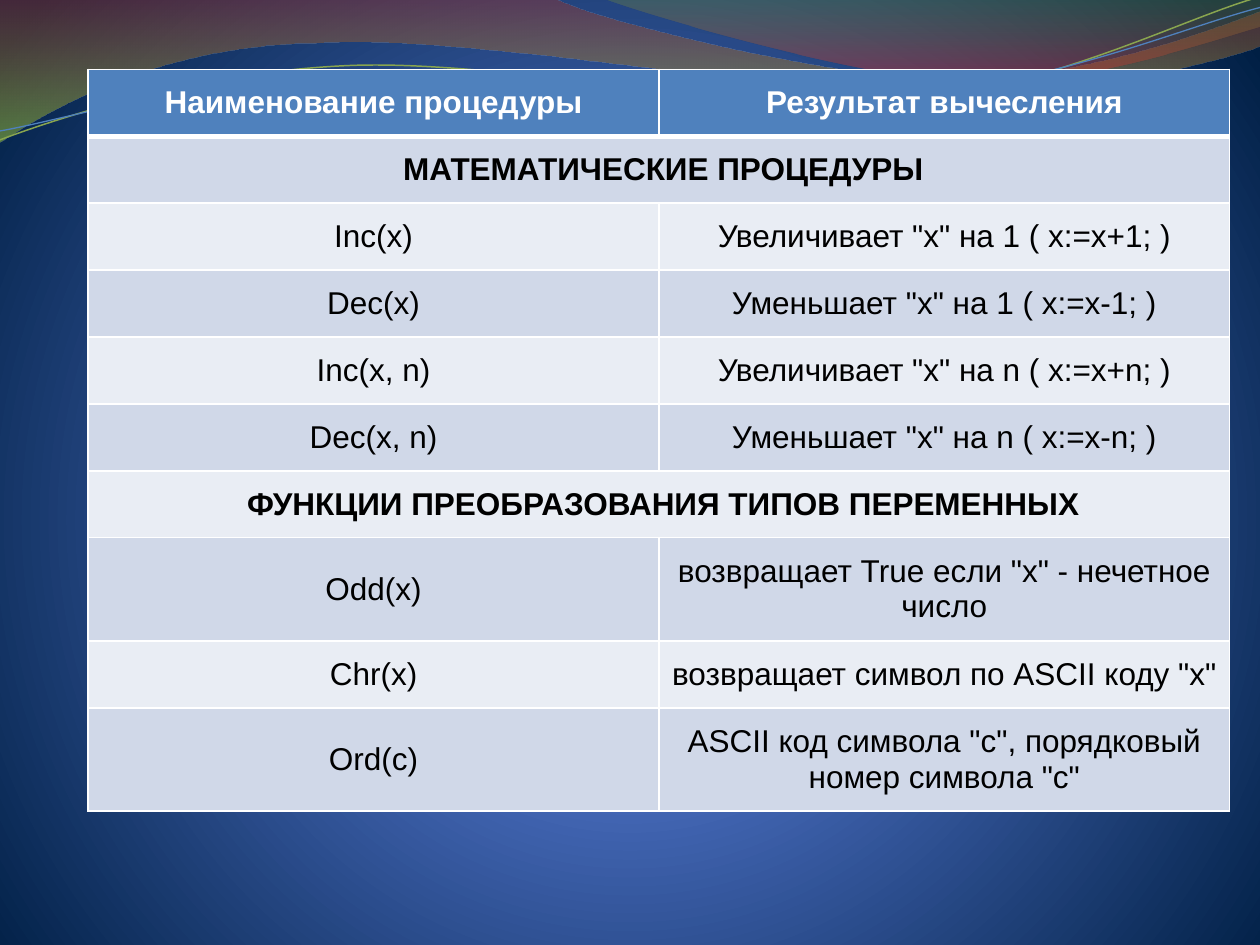
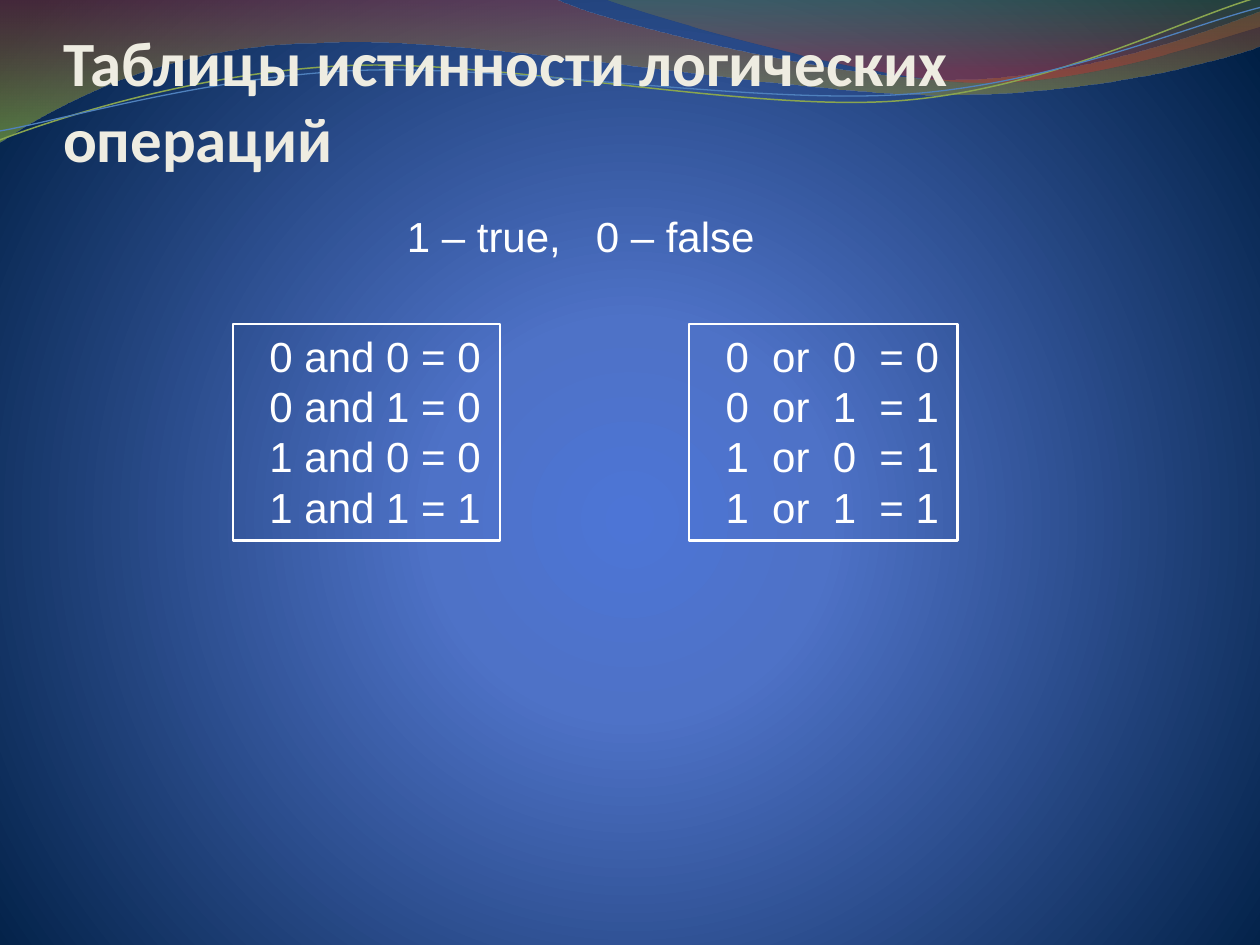
from dataclasses import dataclass
from math import cos, radians, sin

from lxml.etree import SubElement
from pptx import Presentation
from pptx.dml.color import RGBColor
from pptx.enum.shapes import MSO_SHAPE
from pptx.enum.text import MSO_ANCHOR, MSO_AUTO_SIZE, PP_ALIGN
from pptx.oxml import parse_xml
from pptx.oxml.ns import nsdecls, qn
from pptx.util import Inches, Pt


@dataclass(frozen=True)
class Theme:
    white: str = "FFFFFF"
    black: str = "000000"
    title: str = "EEECE1"
    blue: str = "4F81BD"
    green: str = "89A54F"
    bands: tuple = ("E9EDF4", "D0D8E8")
    body_font: str = "Arial"
    title_font: str = "Calibri"
    title_size: int = 36
    body_size: int = 24
    table_size: int = 18


theme = Theme()
rgb = RGBColor.from_string


def paint_gradient(fill, element, stops, direction):
    """Fill with (position %, colour, opacity %) stops and a direction element."""
    fill.solid()
    solid = element.xpath(".//p:bgPr/a:solidFill | .//p:spPr/a:solidFill")[0]
    marks = ""
    for position, color, opacity in stops:
        alpha = f'<a:alpha val="{opacity * 1000}"/>' if opacity < 100 else ""
        marks += f'<a:gs pos="{position * 1000}"><a:srgbClr val="{color}">{alpha}</a:srgbClr></a:gs>'
    solid.getparent().replace(solid, parse_xml(
        f'<a:gradFill {nsdecls("a")} rotWithShape="1"><a:gsLst>{marks}</a:gsLst>{direction}</a:gradFill>'
    ))


def bend(shape, segments):
    """Join the corners of each six-number segment into one cubic curve."""
    corners = iter(shape.element.xpath(".//a:lnTo"))
    for segment in segments:
        first = next(corners)
        if len(segment) == 6:
            first.tag = qn("a:cubicBezTo")
            for _ in range(2):
                corner = next(corners)
                first.append(corner[0])
                corner.getparent().remove(corner)


# Deck: ten columns wide, square grid cells
deck = Presentation()
deck.slide_width, deck.slide_height = Inches(10), Inches(7.5)
unit = deck.slide_width // 10
master = deck.slide_master
table_page = deck.slides.add_slide(deck.slide_layouts[6])
logic_page = deck.slides.add_slide(deck.slide_layouts[5])

# Shared background
paint_gradient(
    master.background.fill, master.element,
    [(0, "4D75D6", 100), (25, "4E72C7", 100), (100, "001F44", 100)],
    '<a:path path="circle"><a:fillToRect l="10000" t="110000" r="10000" b="100000"/></a:path>',
)

# Shared waves: start, segments, gradient stops, or line colour, width and turning centre
tilt = -2.7
waves = [
    ((0, -0.01), [
        (4.4, -0.01), (4.76, 0.17, 6.64, 0.63, 7.58, 0.63), (8.53, 0.63, 9.58, 0.26, 10, 0.09),
        (10.01, 0.36), (9.83, 0.44, 8.7, 0.76, 7.46, 0.75), (6.22, 0.75, 3.82, 0.28, 2.57, 0.34),
        (1.29, 0.35, 0.46, 0.83, -0.01, 1.13), (0, -0.01),
    ], [(0, "973330", 45), (100, "95C238", 55)], None),
    ((4.79, -0.01), [
        (5.09, 0.11, 6.82, 0.62, 7.69, 0.65), (8.56, 0.69, 9.61, 0.32, 10, 0.21), (10, 0),
        (4.79, -0.01),
    ], [(0, "769537", 30), (80, "BE3330", 45)], None),
    ((0, 1.11), [
        (0.48, 0.93, 1.58, 0.57, 2.77, 0.52), (3.95, 0.47, 5.93, 0.89, 7.13, 0.8),
        (8.33, 0.71, 9.38, 0.15, 9.98, -0.02),
    ], None, (theme.green, 0.85, 4.99, 0.57)),
    ((0, 1.04), [
        (0.47, 0.96, 1.64, 0.61, 2.83, 0.56), (4.03, 0.51, 5.97, 0.83, 7.17, 0.75),
        (8.36, 0.67, 9.41, 0.21, 10, 0.06),
    ], None, (theme.blue, 0.75, 5, 0.59)),
]
for index, (start, segments, stops, stroke) in enumerate(waves):
    numbers = [number for segment in (start, *segments) for number in segment]
    points = list(zip(numbers[::2], numbers[1::2]))
    if stroke:
        color, width, center_x, center_y = stroke
        cosine, sine = cos(radians(-tilt)), sin(radians(-tilt))
        points = [
            (center_x + (x - center_x) * cosine - (y - center_y) * sine,
             center_y + (x - center_x) * sine + (y - center_y) * cosine)
            for x, y in points
        ]
    points = [(round(x * unit), round(y * unit)) for x, y in points]
    builder = table_page.shapes.build_freeform(*points[0])
    builder.add_line_segments(points[1:], close=stroke is None)
    wave = builder.convert_to_shape()
    bend(wave, segments)
    wave.shadow.inherit = False
    if stroke:
        wave.rotation = tilt
        wave.fill.background()
        wave.line.color.rgb = rgb(color)
        wave.line.width = Pt(width)
    else:
        paint_gradient(wave.fill, wave.element, stops, '<a:lin ang="5400000" scaled="0"/>')
        wave.line.fill.background()
    wave.element.xpath(".//p:cNvPr")[0].set("id", str(20 + index))
    master.shapes.element.insert(2 + index, wave.element)

# Slide 1: table of procedures; a row with one entry is a section heading
procedures = [
    ("Наименование процедуры", "Результат вычесления"),
    (" МАТЕМАТИЧЕСКИЕ ПРОЦЕДУРЫ",),
    ("Inc(x)", 'Увеличивает "х" на 1 ( x:=x+1; )'),
    ("Dec(x)", 'Уменьшает "х" на 1 ( x:=x-1; )'),
    ("Inc(x, n)", 'Увеличивает "х" на n ( x:=x+n; )'),
    ("Dec(x, n)", 'Уменьшает "х" на n ( x:=x-n; )'),
    (" ФУНКЦИИ ПРЕОБРАЗОВАНИЯ ТИПОВ ПЕРЕМЕННЫХ",),
    ("Odd(x)", 'возвращает True если "х" - нечетное число'),
    ("Сhr(x)", 'возвращает символ по ASCII коду "х"'),
    ("Ord(c)", 'ASCII код символа "с", порядковый номер символа "с"'),
]
tall_rows = (7, 9)
table_height, tall_height = 5.89, 0.82
row_height = (table_height - 2 * tall_height) / (len(procedures) - 2)
table = table_page.shapes.add_table(
    len(procedures), 2, int(0.7 * unit), int(0.55 * unit), int(9.06 * unit), int(table_height * unit)
).table
for column in table.columns:
    column.width = int(4.53 * unit)
for row_index, entries in enumerate(procedures):
    is_header, is_section = row_index == 0, len(entries) == 1
    table.rows[row_index].height = int((tall_height if row_index in tall_rows else row_height) * unit)
    if is_section:
        table.cell(row_index, 0).merge(table.cell(row_index, 1))
    for column_index in range(2):
        cell = table.cell(row_index, column_index)
        cell.margin_left = cell.margin_right = cell.margin_top = cell.margin_bottom = int(0.01 * unit)
        cell.vertical_anchor = MSO_ANCHOR.MIDDLE
        for side in "LRTB" if is_header else "":
            border = SubElement(
                cell._tc.get_or_add_tcPr(), qn(f"a:ln{side}"), w=str(Pt(3 if side == "B" else 1))
            )
            SubElement(SubElement(border, qn("a:solidFill")), qn("a:srgbClr"), val=theme.white)
        cell.fill.solid()
        cell.fill.fore_color.rgb = rgb(theme.blue if is_header else theme.bands[row_index % 2])
        if column_index < len(entries):
            para = cell.text_frame.paragraphs[0]
            para.text = entries[column_index]
            para.alignment = PP_ALIGN.CENTER
            para.font.name, para.font.size = theme.body_font, Pt(theme.table_size)
            para.font.bold = is_header or is_section
            para.font.color.rgb = rgb(theme.white if is_header else theme.black)

# Slide 2: title
title = logic_page.shapes.title
title.left, title.top, title.width, title.height = (int(share * unit) for share in (0.5, 0.38, 9, 1.01))
frame = title.text_frame
frame.text = "Таблицы истинности логических операций"
frame.auto_size = MSO_AUTO_SIZE.NONE
frame.vertical_anchor = MSO_ANCHOR.BOTTOM
frame.margin_left = frame.margin_right = frame.margin_bottom = 0
frame.margin_top = int(0.05 * unit)
para = frame.paragraphs[0]
para.alignment = PP_ALIGN.LEFT
para.font.name, para.font.size, para.font.bold = theme.title_font, Pt(theme.title_size), True
para.font.color.rgb = rgb(theme.title)

# Slide 2: truth tables and the legend above them
truth_tables = [
    (1.85, 2.12, ["0 and 0 = 0", "0 and 1 = 0", "1 and 0 = 0", "1 and 1 = 1"]),
    (5.47, 2.13, ["0  or  0  = 0", "0  or  1  = 1", "1  or  0  = 1", "1  or  1  = 1"]),
]
text_blocks = []
for left, width, lines in truth_tables:
    box = logic_page.shapes.add_shape(
        MSO_SHAPE.RECTANGLE, int(left * unit), int(2.57 * unit), int(width * unit), int(1.72 * unit)
    )
    box.shadow.inherit = False
    box.fill.background()
    box.line.color.rgb = rgb(theme.white)
    box.line.width = Pt(1.25)
    text_blocks.append((box, lines, PP_ALIGN.LEFT, 0.19))
legend = logic_page.shapes.add_textbox(
    int(2.56 * unit), int(1.62 * unit), int(4.1 * unit), int(0.51 * unit)
)
text_blocks.append((legend, ["1 – true,   0 – false"], PP_ALIGN.CENTER, 0))

for box, lines, alignment, indent in text_blocks:
    frame = box.text_frame
    frame.text = "\n".join(lines)
    frame.word_wrap = True
    frame.auto_size = MSO_AUTO_SIZE.SHAPE_TO_FIT_TEXT
    frame.vertical_anchor = MSO_ANCHOR.TOP
    for para in frame.paragraphs:
        para.alignment = alignment
        para._p.get_or_add_pPr().set("marL", str(int(indent * unit)))
        para.font.name, para.font.size = theme.body_font, Pt(theme.body_size)
        para.font.color.rgb = rgb(theme.white)

deck.save("out.pptx")
